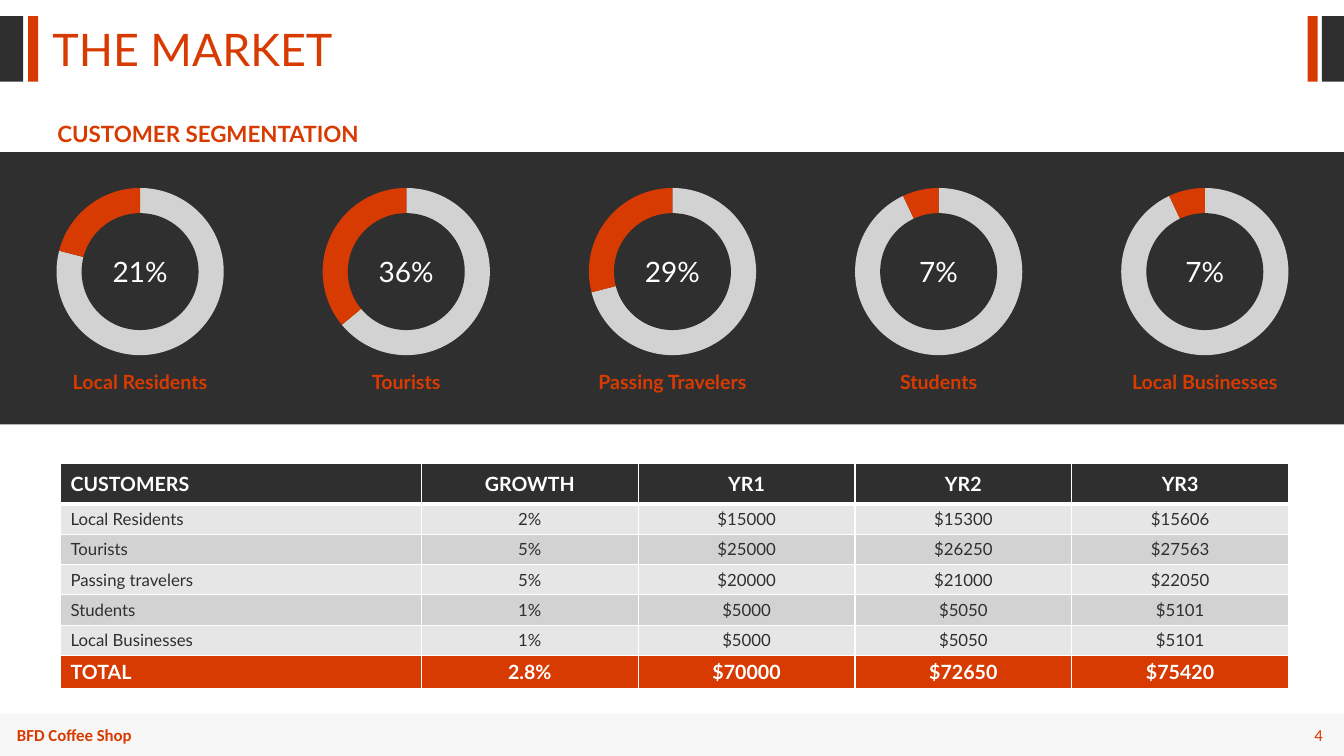
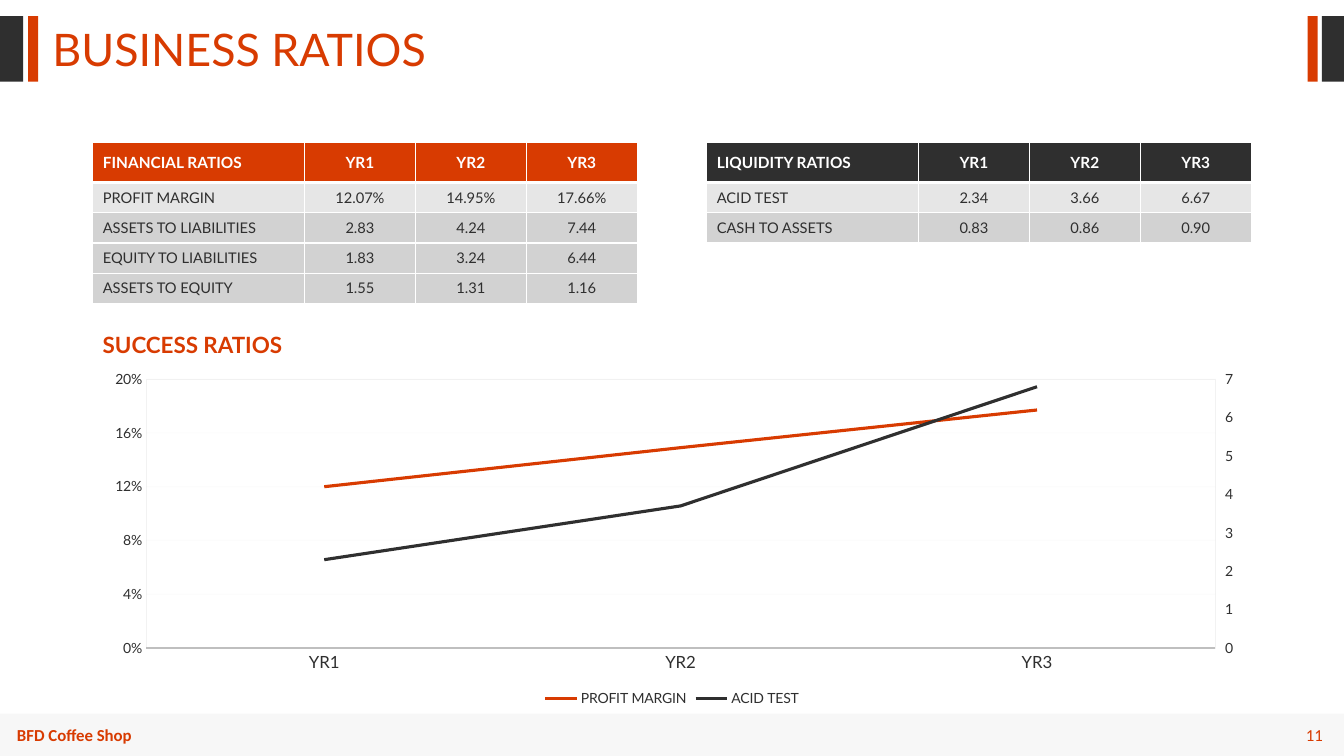
"""Two slides of a coffee shop business plan: the market and the business ratios."""
import copy

import pptx
import pptx.chart.axis
import pptx.chart.data
import pptx.dml.color
import pptx.enum.chart
import pptx.enum.shapes
import pptx.enum.text
import pptx.oxml
import pptx.oxml.ns
import pptx.util

Inches, Pt = pptx.util.Inches, pptx.util.Pt
ALIGN, ANCHOR = pptx.enum.text.PP_ALIGN, pptx.enum.text.MSO_ANCHOR
SHAPE, CHART = pptx.enum.shapes.MSO_SHAPE, pptx.enum.chart.XL_CHART_TYPE
qn = pptx.oxml.ns.qn

WIDTH, HEIGHT = 13.33, 7.5
COLORS = {"dark": "2F2F2F", "accent": "D83B01", "light": "E6E6E6", "grey": "D2D2D2",
          "white": "FFFFFF", "axis": "BFBFBF", "frame": "F2F2F2"}
HEADING = {"size": 16, "color": "accent", "bold": True}
FOOTER = {"size": 12, "color": "accent", "name": "Calibri"}
EDGE_MARKS = [(0, 0.23, "dark"), (0.28, 0.1, "accent"),
              (12.97, 0.1, "accent"), (13.11, 0.22, "dark")]
COMPANY = "BFD Coffee Shop"

SEGMENTS = [("Local Residents", 21), ("Tourists", 36), ("Passing Travelers", 29),
            ("Students", 7), ("Local Businesses", 7)]
RING = {"left": 0.42, "step": 2.64, "width": 1.94, "top": 1.51, "height": 2.37, "hole": 1.16}
BAND_HEIGHT = 2.7

CUSTOMERS = {
    "at": (0.6, 4.6), "columns": [3.58] + [2.15] * 4, "rows": [0.4] + [0.3] * 5 + [0.33],
    "fills": ["dark", "light", "grey", "light", "grey", "light", "accent"],
    "strong": 14, "plain": 12,
    "cells": [
        ("CUSTOMERS", "GROWTH", "YR1", "YR2", "YR3"),
        ("Local Residents", "2%", "$15000", "$15300", "$15606"),
        ("Tourists", "5%", "$25000", "$26250", "$27563"),
        ("Passing travelers", "5%", "$20000", "$21000", "$22050"),
        ("Students", "1%", "$5000", "$5050", "$5101"),
        ("Local Businesses", "1%", "$5000", "$5050", "$5101"),
        ("TOTAL", "2.8%", "$70000", "$72650", "$75420")],
}
RATIO_STYLE = {"columns": [2.1] + [1.1] * 3, "strong": 11, "plain": 10.5}
FINANCIAL = RATIO_STYLE | {
    "at": (0.92, 1.41), "rows": [0.4] + [0.3] * 4,
    "fills": ["accent", "light", "grey", "grey", "grey"],
    "cells": [
        ("FINANCIAL RATIOS", "YR1", "YR2", "YR3"),
        ("PROFIT MARGIN", "12.07%", "14.95%", "17.66%"),
        ("ASSETS TO LIABILITIES", "2.83", "4.24", "7.44"),
        ("EQUITY TO LIABILITIES", "1.83", "3.24", "6.44"),
        ("ASSETS TO EQUITY", "1.55", "1.31", "1.16")],
}
LIQUIDITY = RATIO_STYLE | {
    "at": (7.01, 1.41), "rows": [0.4] + [0.3] * 2, "fills": ["dark", "light", "grey"],
    "cells": [
        ("LIQUIDITY RATIOS", "YR1", "YR2", "YR3"),
        ("ACID TEST", "2.34", "3.66", "6.67"),
        ("CASH TO ASSETS", "0.83", "0.86", "0.90")],
}
YEARS = ["YR1", "YR2", "YR3"]
SUCCESS = [("PROFIT MARGIN", (0.12, 0.149, 0.177), "accent"),
           ("ACID TEST", (2.3, 3.7, 6.8), "dark")]


def rgb(color):
    return pptx.dml.color.RGBColor.from_string(COLORS[color])


def inches(*lengths):
    return [Inches(length) for length in lengths]


def assign(target, values):
    for key, value in values.items():
        setattr(target, key, value)


def set_font(font, size, color, bold=False, name="Lato"):
    assign(font, {"size": Pt(size), "bold": bold, "name": name})
    font.color.rgb = rgb(color)


def write(frame, text, style, align=ALIGN.LEFT, **frame_values):
    assign(frame, {"word_wrap": True} | frame_values)
    paragraph = frame.paragraphs[0]
    paragraph.alignment = align
    run = paragraph.add_run()
    run.text = text
    set_font(run.font, **style)


def add_text(slide, box, text, style, align=ALIGN.LEFT, **frame_values):
    frame = slide.shapes.add_textbox(*inches(*box)).text_frame
    write(frame, text, style, align, **frame_values)


def add_block(slide, box, color, kind=SHAPE.RECTANGLE):
    block = slide.shapes.add_shape(kind, *inches(*box))
    block.shadow.inherit = False
    block.fill.solid()
    block.fill.fore_color.rgb = rgb(color)
    block.line.fill.background()
    return block


def set_alpha(element, percent):
    for color in element.iter(qn("a:srgbClr")):
        color.append(pptx.oxml.parse_xml(
            f'<a:alpha {pptx.oxml.ns.nsdecls("a")} val="{percent * 1000}"/>'))


def add_base(deck, title, number):
    slide = deck.slides.add_slide(deck.slide_layouts[5])
    footer = add_block(slide, (0, 7.08, WIDTH, HEIGHT - 7.08), "light")
    set_alpha(footer.element.spPr, 30)
    add_text(slide, (0.07, 7.14, 1.84, 0.3), COMPANY, FOOTER | {"bold": True})
    add_text(slide, (12.35, 7.14, 0.87, 0.3), number, FOOTER, ALIGN.RIGHT,
             vertical_anchor=ANCHOR.MIDDLE)
    for left, width, color in EDGE_MARKS:
        add_block(slide, (left, 0.16, width, 0.65), color)
    heading = slide.shapes.title
    assign(heading, dict(zip(("left", "top", "width", "height"), inches(0.42, 0.27, 6.67, 0.54))))
    write(heading.text_frame, title, {"size": 32, "color": "accent"},
          vertical_anchor=ANCHOR.TOP, auto_size=pptx.enum.text.MSO_AUTO_SIZE.NONE)
    heading.text_frame.paragraphs[0].line_spacing = 0.8
    return slide


def set_borders(cell, row):
    widths = {"L": 1, "R": 1, "T": 3 if row == 1 else 1, "B": 3 if row == 0 else 1}
    properties = cell._tc.get_or_add_tcPr()
    for side, width in widths.items():
        properties.append(pptx.oxml.parse_xml(
            f'<a:ln{side} {pptx.oxml.ns.nsdecls("a")} w="{Pt(width)}"><a:solidFill>'
            f'<a:srgbClr val="{COLORS["white"]}"/></a:solidFill></a:ln{side}>'))


def add_grid(slide, data):
    columns, rows = data["columns"], data["rows"]
    grid = slide.shapes.add_table(len(rows), len(columns),
                                  *inches(*data["at"], sum(columns), sum(rows))).table
    for column, width in zip(grid.columns, columns):
        column.width = Inches(width)
    for index, (row, height) in enumerate(zip(grid.rows, rows)):
        row.height = Inches(height)
        fill = data["fills"][index]
        strong = fill in ("dark", "accent")
        style = {"size": data["strong" if strong else "plain"],
                 "color": "white" if strong else "dark", "bold": strong}
        for place, (cell, text) in enumerate(zip(row.cells, data["cells"][index])):
            set_borders(cell, index)
            cell.fill.solid()
            cell.fill.fore_color.rgb = rgb(fill)
            cell.vertical_anchor = ANCHOR.MIDDLE
            write(cell.text_frame, text, style, ALIGN.CENTER if place else ALIGN.LEFT)


def set_plot_area(chart, x, y, w, h):
    plot_area = chart.element.xpath("//c:plotArea")[0]
    for old in plot_area.findall(qn("c:layout")):
        plot_area.remove(old)
    shares = "".join(f'<c:{key} val="{value}"/>' for key, value in zip("xywh", (x, y, w, h)))
    plot_area.insert(0, pptx.oxml.parse_xml(
        f'<c:layout {pptx.oxml.ns.nsdecls("c")}><c:manualLayout><c:layoutTarget val="inner"/>'
        f'<c:xMode val="edge"/><c:yMode val="edge"/>{shares}</c:manualLayout></c:layout>'))
    return plot_area


def add_chart(slide, kind, box, categories, series):
    data = pptx.chart.data.CategoryChartData()
    data.categories = categories
    for name, values in series:
        data.add_series(name, values)
    chart = slide.shapes.add_chart(kind, *inches(*box), data).chart
    assign(chart, {"has_title": False, "has_legend": False})
    set_font(chart.font, 10, "dark")
    return chart


def add_ring(slide, index, label, share):
    left = RING["left"] + index * RING["step"]
    width, top, height, hole = (RING[key] for key in ("width", "top", "height", "hole"))
    chart = add_chart(slide, CHART.PIE, (left, top, width, height), ["1", "2"],
                      [("Series 1", (100 - share, share))])
    set_plot_area(chart, 0.07, 0.15, 0.86, 0.7)
    chart.plots[0].vary_by_categories = False
    for point, color in enumerate(("grey", "accent")):
        fill = chart.plots[0].series[0].points[point].format.fill
        fill.solid()
        fill.fore_color.rgb = rgb(color)
    center = add_block(slide, (left + (width - hole) / 2, top + (height - hole) / 2, hole, hole),
                       "dark", SHAPE.OVAL)
    write(center.text_frame, f"{share}%", {"size": 20, "color": "white"}, ALIGN.CENTER,
          margin_left=0, margin_right=0, vertical_anchor=ANCHOR.MIDDLE)
    add_text(slide, (left, 3.62, width, 0.34), label,
             {"size": 14, "color": "accent", "bold": True}, ALIGN.CENTER)


def format_axis(axis, size, line=None):
    none = pptx.enum.chart.XL_TICK_MARK.NONE
    assign(axis, {"major_tick_mark": none, "minor_tick_mark": none})
    set_font(axis.tick_labels.font, size, "dark")
    if line:
        axis.format.line.width = Pt(1.5)
        axis.format.line.color.rgb = rgb(line)
    else:
        axis.format.line.fill.background()


def scale_axis(axis, top, unit, number_format):
    assign(axis, {"minimum_scale": 0, "maximum_scale": top, "major_unit": unit})
    assign(axis.tick_labels, {"number_format": number_format, "number_format_is_linked": False})


def move_to_right_axis(plot_area):
    left_parts = [plot_area.find(qn(tag)) for tag in ("c:lineChart", "c:catAx", "c:valAx")]
    lines, categories, values = right_parts = [copy.deepcopy(part) for part in left_parts]
    for part in right_parts:
        for link in part.iter(qn("c:axId"), qn("c:crossAx")):
            link.set("val", str(int(link.get("val")) + 1))
    left_parts[0].remove(left_parts[0].findall(qn("c:ser"))[1])
    lines.remove(lines.findall(qn("c:ser"))[0])
    left_parts[0].addnext(lines)
    left_parts[2].addnext(values)
    values.addnext(categories)
    values.find(qn("c:axPos")).set("val", "r")
    for crossing in values.findall(qn("c:crosses")):
        values.remove(crossing)
    values.find(qn("c:crossAx")).addnext(pptx.oxml.parse_xml(
        f'<c:crosses {pptx.oxml.ns.nsdecls("c")} val="max"/>'))
    pptx.chart.axis.CategoryAxis(categories).visible = False
    right = pptx.chart.axis.ValueAxis(values)
    assign(right, {"has_major_gridlines": False,
                   "tick_label_position": pptx.enum.chart.XL_TICK_LABEL_POSITION.HIGH})
    scale_axis(right, 7, 1, "#,##0")


def add_success_chart(slide):
    chart = add_chart(slide, CHART.LINE, (0.92, 3.61, 11.49, 3.44), YEARS,
                      [(name, values) for name, values, _ in SUCCESS])
    plot_area = set_plot_area(chart, 0.046, 0.044, 0.923, 0.776)
    chart.has_legend = True
    assign(chart.legend, {"position": pptx.enum.chart.XL_LEGEND_POSITION.BOTTOM,
                          "include_in_layout": False})
    set_font(chart.legend.font, 10, "dark")
    for line, (_, _, color) in zip(chart.plots[0].series, SUCCESS):
        line.smooth = False
        line.format.line.width = Pt(2.25)
        line.format.line.color.rgb = rgb(color)
    format_axis(chart.category_axis, 12, "axis")
    format_axis(chart.value_axis, 10)
    scale_axis(chart.value_axis, 0.2, 0.04, "0%")
    gridlines = chart.value_axis.major_gridlines.format.line
    gridlines.width = Pt(0.75)
    gridlines.color.rgb = rgb("light")
    set_alpha(plot_area.xpath(".//c:majorGridlines")[0], 10)
    move_to_right_axis(plot_area)
    plot_area.append(pptx.oxml.parse_xml(
        f'<c:spPr {pptx.oxml.ns.nsdecls("c", "a")}><a:noFill/><a:ln w="{Pt(0.75)}"><a:solidFill>'
        f'<a:srgbClr val="{COLORS["frame"]}"/></a:solidFill></a:ln></c:spPr>'))


def main():
    deck = pptx.Presentation()
    assign(deck, {"slide_width": Inches(WIDTH), "slide_height": Inches(HEIGHT)})

    market = add_base(deck, "THE MARKET", "4")
    add_text(market, (0.47, 1.14, 3.92, 0.37), "CUSTOMER SEGMENTATION", HEADING)
    add_block(market, (0, RING["top"], WIDTH, BAND_HEIGHT), "dark")
    for index, (label, share) in enumerate(SEGMENTS):
        add_ring(market, index, label, share)
    add_grid(market, CUSTOMERS)

    ratios = add_base(deck, "BUSINESS RATIOS", "11")
    add_grid(ratios, FINANCIAL)
    add_grid(ratios, LIQUIDITY)
    add_text(ratios, (0.92, 3.24, 2.02, 0.37), "SUCCESS RATIOS", HEADING)
    add_success_chart(ratios)

    deck.save("out.pptx")


if __name__ == "__main__":
    main()
